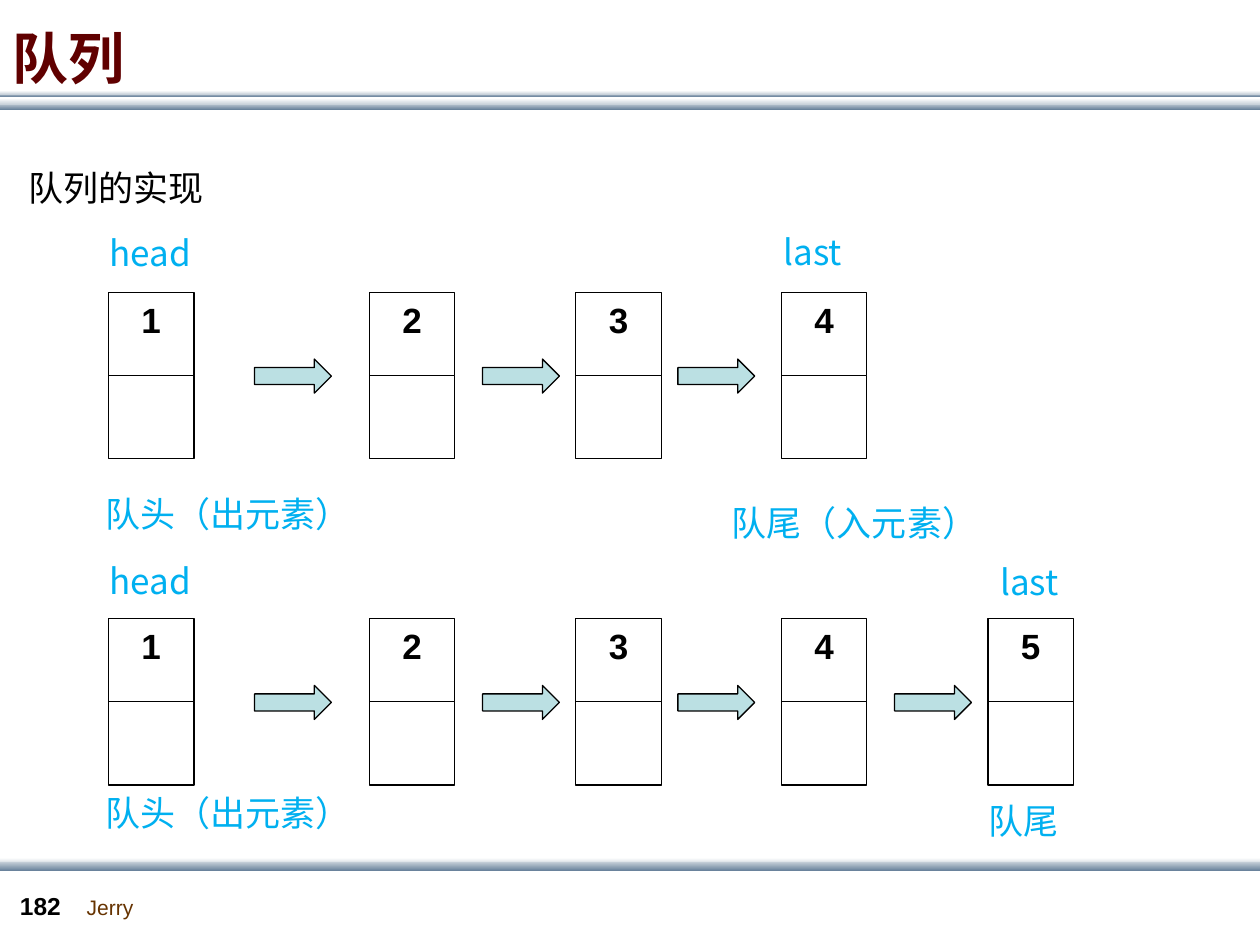
from dataclasses import dataclass

import pptx
import pptx.dml.color
import pptx.enum.shapes
import pptx.enum.text
import pptx.oxml.ns
import pptx.util
from lxml import etree
from pptx.util import Inches

RGB = pptx.dml.color.RGBColor.from_string
SHAPES = pptx.enum.shapes.MSO_SHAPE
ALIGN = pptx.enum.text.PP_ALIGN
ANCHOR = pptx.enum.text.MSO_ANCHOR


@dataclass(frozen=True)
class Theme:
    """Colours, fonts and type sizes of the slide."""
    title: str = "600000"
    ink: str = "000000"
    paper: str = "FFFFFF"
    label: str = "00B0F0"
    arrow: str = "BBE0E3"
    author: str = "663300"
    bar_mid: str = "C8D1DA"
    bar_dark: str = "6A839C"
    latin: str = "Arial"
    cjk: str = "Noto Sans CJK SC"
    title_size: int = 32
    body_size: int = 20
    number_size: int = 14
    author_size: int = 12


THEME = Theme()
NODE_OFFSETS = (0, 2.07, 3.71, 5.34, 6.98)
ARROW_OFFSETS = (1.16, 2.97, 4.52, 6.24)
CELL_WIDTH, CELL_HEIGHT = 0.68, 0.66


def style_text(frame, text, size, color, font, bold=False):
    """Write one line of text in the given style."""
    frame.text = text
    run = frame.paragraphs[0].runs[0]
    run.font.size = pptx.util.Pt(size)
    run.font.color.rgb = RGB(color)
    run.font.name = font
    run.font.bold = bold
    east_asian = etree.SubElement(run.font._element, pptx.oxml.ns.qn("a:ea"))
    east_asian.set("typeface", font)


def add_label(slide, box, text, size=THEME.body_size, color=THEME.label,
              font=THEME.cjk, bold=False, wrap=True, anchor=ANCHOR.TOP):
    """Place a text box in the box (left, top, width, height)."""
    frame = slide.shapes.add_textbox(*map(Inches, box)).text_frame
    frame.word_wrap = wrap
    frame.vertical_anchor = anchor
    style_text(frame, text, size, color, font, bold)


def add_block(slide, kind, box, fill):
    """Place an outlined shape in the box and return it."""
    block = slide.shapes.add_shape(kind, *map(Inches, box))
    block.shadow.inherit = False
    block.fill.solid()
    block.fill.fore_color.rgb = RGB(fill)
    block.line.color.rgb = RGB(THEME.ink)
    block.line.width = pptx.util.Pt(0.75)
    return block


def add_bar(slide, top, height, colors):
    """Draw a full-width bar shaded from the first colour down to the second."""
    bar = slide.shapes.add_shape(
        SHAPES.RECTANGLE, 0, Inches(top), Inches(10.01), Inches(height))
    bar.shadow.inherit = False
    bar.line.fill.background()
    bar.fill.gradient()
    bar.fill.gradient_angle = 270
    for stop, position, color in zip(bar.fill.gradient_stops, (0, 1), colors):
        stop.position = position
        stop.color.rgb = RGB(color)


def draw_header(slide, left, top, width, height):
    """Draw the title above its double rule."""
    light, dark = (THEME.paper, THEME.bar_mid), (THEME.bar_mid, THEME.bar_dark)
    for offset, thickness, colors in ((0.68, 0.05, dark), (0.6, 0.03, dark),
                                      (0.64, 0.05, light), (0.58, 0.03, light)):
        add_bar(slide, top + offset, thickness, colors)
    add_label(slide, (left, top, width, height), "队列", THEME.title_size,
              THEME.title, bold=True, anchor=ANCHOR.MIDDLE)


def draw_footer(slide, left, top):
    """Draw the bottom rule, the page number and the author."""
    add_bar(slide, top, 0.05, (THEME.paper, THEME.bar_mid))
    add_bar(slide, top + 0.03, 0.07, (THEME.bar_mid, THEME.bar_dark))
    add_label(slide, (left + 0.59, top + 0.24, 0.57, 0.3), "Jerry",
              THEME.author_size, THEME.author, THEME.latin, wrap=False)
    add_label(slide, (left + 0.06, top + 0.21, 0.55, 0.33), "182",
              THEME.number_size, THEME.ink, THEME.latin, bold=True)


def draw_node(slide, left, top, value):
    """Draw a list node: a value cell above an empty link cell."""
    cells = [add_block(slide, SHAPES.RECTANGLE,
                       (left, top + row * CELL_HEIGHT, CELL_WIDTH, CELL_HEIGHT),
                       THEME.paper) for row in range(2)]
    frame = cells[0].text_frame
    frame.vertical_anchor = ANCHOR.TOP
    style_text(frame, value, THEME.body_size, THEME.ink, THEME.latin, bold=True)
    frame.paragraphs[0].alignment = ALIGN.CENTER


def draw_queue(slide, left, top, length, labels):
    """Draw a queue of linked nodes with labels at offsets from its corner."""
    for index, offset in enumerate(NODE_OFFSETS[:length]):
        draw_node(slide, left + offset, top, str(index + 1))
    for offset in ARROW_OFFSETS[:length - 1]:
        add_block(slide, SHAPES.RIGHT_ARROW,
                  (left + offset, top + 0.53, 0.61, 0.27), THEME.arrow)
    for text, across, down, width in labels:
        add_label(slide, (left + across, top + down, width, 0.44), text)


def main():
    """Build the slide and save it."""
    deck = pptx.Presentation()
    deck.slide_width, deck.slide_height = Inches(10), Inches(7.5)
    slide = deck.slides.add_slide(deck.slide_layouts[6])
    draw_header(slide, 0, 0.14, 9, 0.63)
    draw_footer(slide, 0, 6.81)
    add_label(slide, (0.13, 1.27, 2.24, 0.44), "队列的实现", color=THEME.ink)
    draw_queue(slide, 0.86, 2.32, 4, (
        ("head", -0.09, -0.53, 0.86), ("last", 5.26, -0.54, 0.86),
        ("队头（出元素）", -0.12, 1.54, 2.24),
        ("队尾（入元素）", 4.85, 1.61, 2.24)))
    draw_queue(slide, 0.86, 4.91, 5, (
        ("head", -0.09, -0.52, 0.86), ("last", 6.98, -0.51, 0.86),
        ("队头（出元素）", -0.12, 1.32, 2.24),
        ("队尾", 6.89, 1.39, 0.86)))
    deck.save("out.pptx")


if __name__ == "__main__":
    main()
